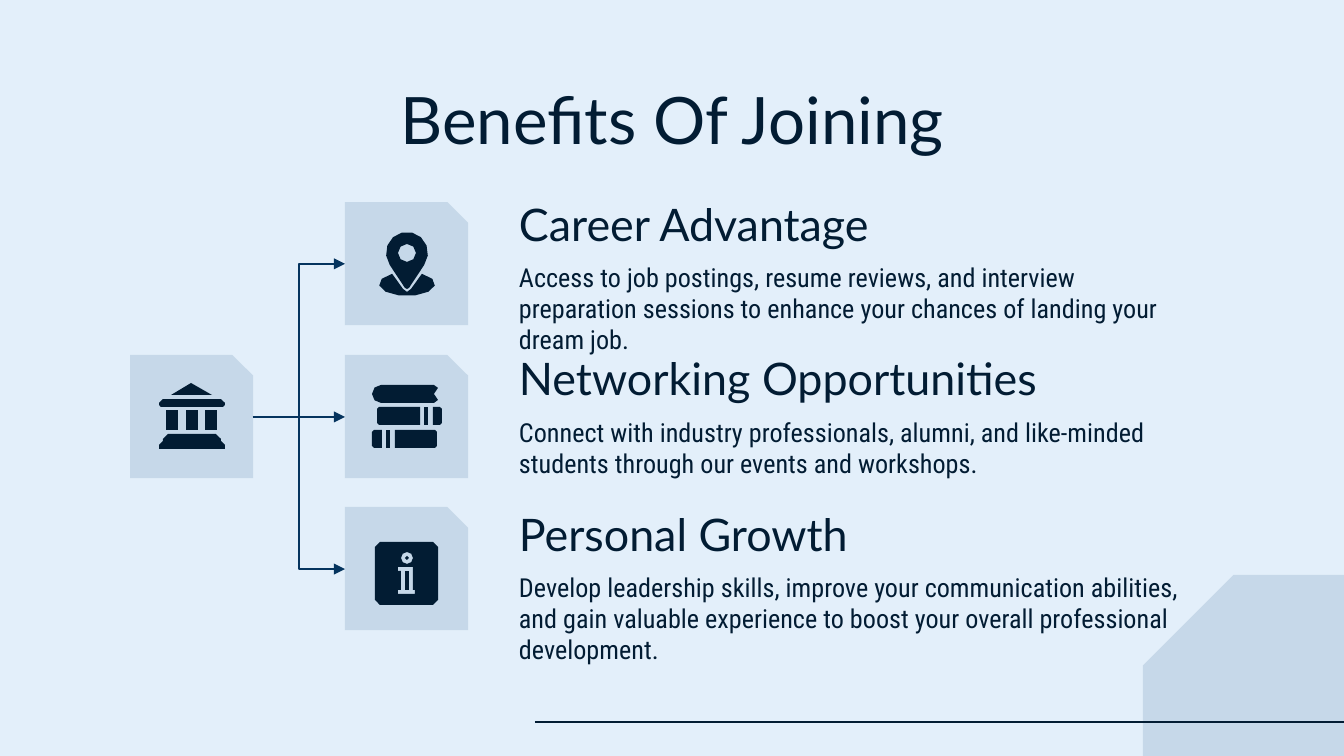
from math import ceil, cos, radians, sin

from lxml.etree import SubElement
from pptx import Presentation
from pptx.dml.color import RGBColor
from pptx.enum.shapes import MSO_CONNECTOR, MSO_SHAPE
from pptx.enum.text import MSO_ANCHOR, PP_ALIGN
from pptx.oxml.ns import qn
from pptx.util import Pt

EMU_PER_PX = 914400 / 134.4
SUBPIXELS = 100
BACKGROUND = RGBColor(0xE3, 0xEF, 0xFA)
INK = RGBColor(0x02, 0x1C, 0x33)
TILE_BLUE = RGBColor(0x08, 0x44, 0x78)
ARROW_BLUE = RGBColor(0x05, 0x34, 0x5E)
HEADING_FONT = "Lato"
BODY_FONT = "Roboto Condensed"
TILE = 123
TILE_MIDDLE = 62
INSET = 13

BENEFITS = [
    ("Career Advantage",
     "Access to job postings, resume reviews, and interview preparation "
     "sessions to enhance your chances of landing your dream job."),
    ("Networking Opportunities",
     "Connect with industry professionals, alumni, and like-minded students "
     "through our events and workshops."),
    ("Personal Growth",
     "Develop leadership skills, improve your communication abilities, and "
     "gain valuable experience to boost your overall professional "
     "development."),
]


def px(length):
    return round(length * EMU_PER_PX)


def arc(cx, cy, rx, ry, start, end, steps):
    angles = [radians(start + (end - start) * i / steps) for i in range(steps + 1)]
    return [(cx + rx * cos(a), cy + ry * sin(a)) for a in angles]


def circle(cx, cy, radius, steps=8):
    return arc(cx, cy, radius, radius, 0, 360, steps)[:-1]


def corner(cx, cy, radius, start):
    if not radius:
        return [(cx, cy)]
    return arc(cx, cy, radius, radius, start, start + 90, 1)


def block(left, top, width, height, nw=0, ne=0, se=0, sw=0):
    right, bottom = left + width, top + height
    return (corner(left + nw, top + nw, nw, 180)
            + corner(right - ne, top + ne, ne, 270)
            + corner(right - se, bottom - se, se, 0)
            + corner(left + sw, bottom - sw, sw, 90))


PIN_ICON = [
    [arc(62, 51, 21, 21, 145, 395, 9) + [(64, 86), (62, 87), (60, 86)],
     circle(62, 51, 9)],
    [arc(62, 82, 28, 12, 238, -58, 9) + [(66, 87), (62, 90), (58, 87)]],
]
BANK_ICON = [
    [block(29, 44, 66, 8, 4, 4, 2, 2)],
    [corner(38, 84, 5, 180) + corner(86, 84, 5, 270) + corner(91, 90, 4, 270)
     + [(95, 94), (29, 94)] + corner(33, 90, 4, 180)],
    [[(41, 40), (61, 28), (82, 40)]],
    *[[block(left, 55, 12, 20)] for left in (36, 56, 75)],
]
BOOKS_ICON = [
    [[(89, 30), (93, 33), (89, 39), (93, 45), (89, 48)]
     + arc(36, 39, 9, 9, 90, 270, 4)],
    [block(79, 52, 4, 18)],
    [block(88, 52, 9, 18, ne=2, se=2)],
    [block(32, 52, 43, 18, nw=2, sw=2)],
    [block(41, 75, 4, 18)],
    [block(50, 75, 42, 18, ne=2, se=2)],
    [block(27, 75, 10, 18, nw=2, sw=2)],
]
INFO_ICON = [
    [circle(62, 51, 2, 4)],
    [block(60, 64, 4, 19)],
    [block(30, 35, 63, 63, 5, 5, 5, 5),
     circle(62, 51, 6),
     [(53, 60), (68, 60), (68, 83), (70, 83), (70, 87), (53, 87), (53, 83),
      (56, 83), (56, 64), (53, 64)]],
]


def add_snipped(slide, left, top, width, height, snip):
    panel = slide.shapes.add_shape(MSO_SHAPE.SNIP_1_RECTANGLE, px(left), px(top),
                                   px(width), px(height))
    panel.adjustments[0] = snip
    panel.shadow.inherit = False
    panel.line.fill.background()
    panel.fill.solid()
    panel.fill.fore_color.rgb = TILE_BLUE
    color = panel.element.spPr.find(".//" + qn("a:srgbClr"))
    SubElement(color, qn("a:alpha"), val="13000")
    return panel


def add_line(slide, kind, start, end, color):
    line = slide.shapes.add_connector(kind, *map(px, start + end))
    line.line.color.rgb = color
    line.line.width = Pt(0.75)
    SubElement(line.element.spPr, qn("a:effectLst"))
    return line


def add_text(slide, box, text, size, font, anchor=MSO_ANCHOR.TOP, align=PP_ALIGN.LEFT):
    frame = slide.shapes.add_textbox(*map(px, box)).text_frame
    frame.word_wrap = True
    frame.vertical_anchor = anchor
    frame.margin_left = frame.margin_right = px(INSET)
    frame.margin_top = frame.margin_bottom = px(INSET)
    paragraph = frame.paragraphs[0]
    paragraph.alignment = align
    run = paragraph.add_run()
    run.text = text
    run.font.size = Pt(size)
    run.font.name = font
    run.font.color.rgb = INK


def add_icon_tile(slide, left, top, icon):
    add_snipped(slide, left, top, TILE, TILE, 0.167)
    for outlines in icon:
        scaled = [[(x * SUBPIXELS, y * SUBPIXELS) for x, y in outline]
                  for outline in outlines]
        builder = slide.shapes.build_freeform(*scaled[0][0],
                                              scale=EMU_PER_PX / SUBPIXELS)
        builder.add_line_segments(scaled[0][1:], close=True)
        for hole in scaled[1:]:
            builder.move_to(*hole[0])
            builder.add_line_segments(hole[1:], close=True)
        glyph = builder.convert_to_shape(px(left), px(top))
        glyph.shadow.inherit = False
        glyph.fill.solid()
        glyph.fill.fore_color.rgb = INK
        glyph.line.fill.background()


def add_decoration(slide, left, top, width, height):
    panel = add_snipped(slide, left, top, width, height, 0.5)
    panel.element.spPr.find(qn("a:xfrm")).set("flipH", "1")
    baseline = top + 147
    add_line(slide, MSO_CONNECTOR.STRAIGHT, (left - 608, baseline),
             (left + 373, baseline), INK)


def add_diagram(slide, left, top, span):
    branch_left = left + 215
    root_top = top + ceil(span / 2)
    root_exit = (left + TILE, root_top + TILE_MIDDLE)
    add_icon_tile(slide, left, root_top, BANK_ICON)
    for row, icon in enumerate((PIN_ICON, BOOKS_ICON, INFO_ICON)):
        branch_top = top + ceil(row * span / 2)
        add_icon_tile(slide, branch_left, branch_top, icon)
        arrow = add_line(slide, MSO_CONNECTOR.ELBOW, root_exit,
                         (branch_left, branch_top + TILE_MIDDLE), ARROW_BLUE)
        outline = arrow.element.spPr.find(qn("a:ln"))
        SubElement(outline, qn("a:tailEnd"), type="triangle")


def add_benefits(slide, left, top, width, pitch):
    for row, (heading, description) in enumerate(BENEFITS):
        row_top = top + row * pitch
        add_text(slide, (left, row_top + 40, width, 71), description, 14, BODY_FONT)
        add_text(slide, (left, row_top, width, 55), heading, 24, HEADING_FONT,
                 anchor=MSO_ANCHOR.BOTTOM)


def main():
    deck = Presentation()
    deck.slide_width, deck.slide_height = px(1344), px(756)
    slide = deck.slides.add_slide(deck.slide_layouts[6])
    slide.background.fill.solid()
    slide.background.fill.fore_color.rgb = BACKGROUND
    add_decoration(slide, 1143, 575, 201, 181)
    add_text(slide, (106, 66, 1133, 85), "Benefits Of Joining", 35, HEADING_FONT,
             align=PP_ALIGN.CENTER)
    add_diagram(slide, 130, 202, 305)
    add_benefits(slide, 506, 208, 699, 155)
    deck.save("out.pptx")


if __name__ == "__main__":
    main()
